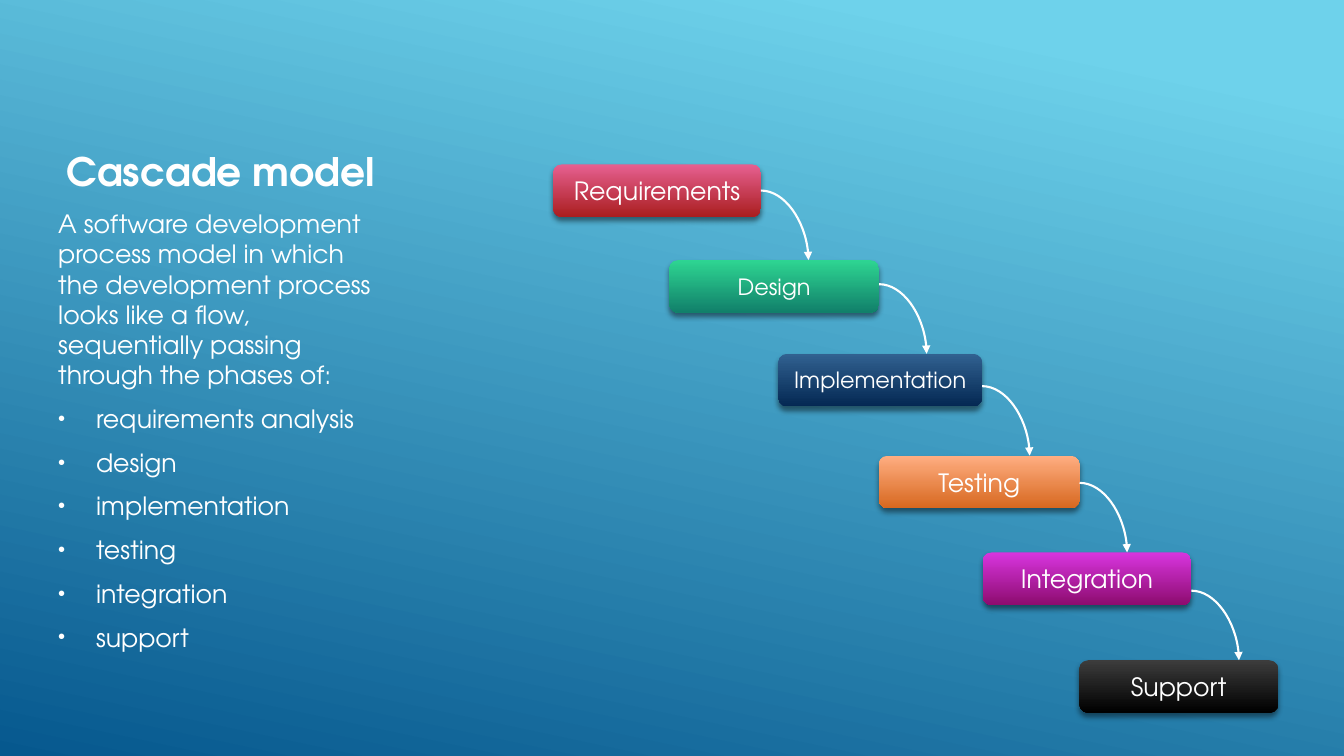
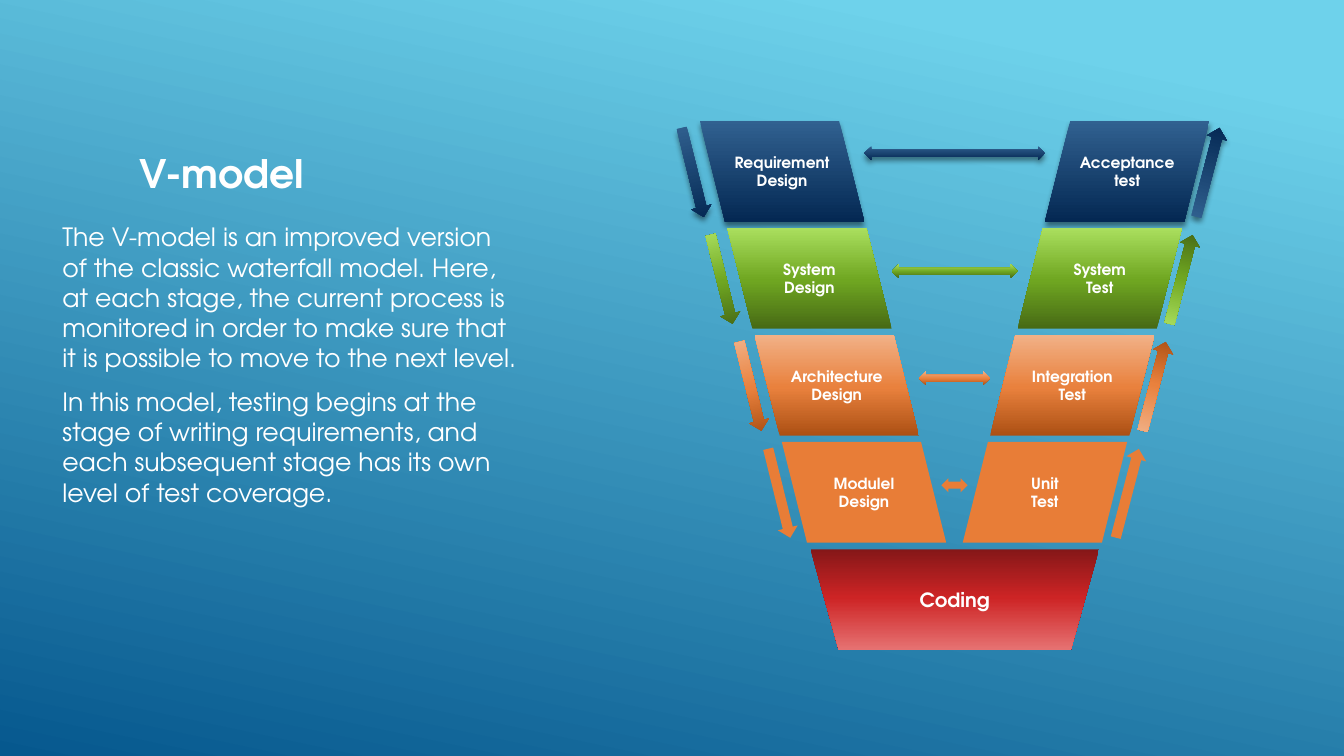
from copy import deepcopy
from itertools import pairwise

from pptx import Presentation
from pptx.dml.color import RGBColor
from pptx.enum.shapes import MSO_CONNECTOR, MSO_SHAPE
from pptx.enum.text import MSO_ANCHOR, PP_ALIGN
from pptx.oxml import parse_xml
from pptx.oxml.ns import nsdecls, qn
from pptx.util import Pt

CURVE = MSO_CONNECTOR.CURVE
ROUND = MSO_SHAPE.ROUNDED_RECTANGLE
SLANT = MSO_SHAPE.PARALLELOGRAM
TRAP = MSO_SHAPE.TRAPEZOID
DOWN = MSO_SHAPE.DOWN_ARROW
BOTH = MSO_SHAPE.LEFT_RIGHT_ARROW
LEFT, MID = PP_ALIGN.LEFT, PP_ALIGN.CENTER
TOP, CENTER, BASE = MSO_ANCHOR.TOP, MSO_ANCHOR.MIDDLE, MSO_ANCHOR.BOTTOM

FACE = "TeX Gyre Adventor"
WHITE = RGBColor(0xFF, 0xFF, 0xFF)
AMBER = RGBColor(0xE8, 0x7D, 0x37)


def blend(angle, *stops):
    """Return a gradient: its clockwise angle and (place, colour) stops."""
    return angle, [(place, RGBColor.from_string(hue)) for place, hue in stops]


SKY = blend(102, (0.1, "6ED2EB"), (1, "06588E"))
PINK = blend(90, (0, "E66091"), (1, "AA1E1F"))
MINT = blend(90, (0, "2ED592"), (1, "11806A"))
NAVY = blend(90, (0, "316190"), (1, "042853"))
PEACH = blend(90, (0, "FFAE82"), (1, "D7681F"))
PLUM = blend(90, (0, "D835DF"), (1, "8D0C6F"))
BLACK = blend(90, (0, "3C3C3C"), (1, "000000"))
GREEN = blend(270, (0, "476A15"), (0.48, "6FA621"), (1, "AADF5E"))
RUST = blend(270, (0, "AC5014"), (0.48, "E9813D"), (1, "F1B187"))
RED = blend(270, (0, "851718"), (0.48, "CD2425"), (1, "E67272"))

SHADOW = (f'<a:outerShdw {nsdecls("a")} blurRad="{Pt(4)}" dist="{Pt(3)}" '
          'dir="5400000" algn="ctr" rotWithShape="0"><a:srgbClr val="000000">'
          '<a:alpha val="46000"/></a:srgbClr></a:outerShdw>')
BULLET = ('<a:buClr {0}><a:srgbClr val="FFFFFF"/></a:buClr>',
          '<a:buSzPct {0} val="80000"/>',
          '<a:buFont {0} typeface="Arial"/>',
          '<a:buChar {0} char="&#8226;"/>')


def put(item, **style):
    """Set each attribute of an object from its format values."""
    for name, value in style.items():
        setattr(item, name, value)


def paint(fill, node, look):
    """Fill with a plain colour or with a gradient held in the node."""
    if isinstance(look, RGBColor):
        fill.solid()
        fill.fore_color.rgb = look
        return
    angle, stops = look
    fill.gradient()
    fill.gradient_angle = 360 - angle
    rows = node.find(".//" + qn("a:gsLst"))
    while len(rows) < len(stops):
        rows.append(deepcopy(rows[0]))
    for stop, (place, hue) in zip(fill.gradient_stops, stops):
        stop.position = place
        stop.color.rgb = hue


class Deck:
    """Holds the shared style and the current slide."""

    def __init__(self):
        """Start a wide deck with the shared background."""
        self.file = Presentation()
        put(self.file, slide_width=Pt(960), slide_height=Pt(540))
        master = self.file.slide_master
        paint(master.background.fill, master.element, SKY)

    def page(self, text, *box):
        """Add a slide and place its title."""
        layout = self.file.slide_layouts[5]
        self.slide = self.file.slides.add_slide(layout)
        title = self.slide.shapes.title
        left, top, width, height = map(Pt, box)
        put(title, left=left, top=top, width=width, height=height)
        self.words(title.text_frame, text, 28, anchor=BASE, bold=True)

    def words(self, frame, text, size, anchor=CENTER, align=MID, bold=False):
        """Put styled text into a frame."""
        put(frame, text=text, word_wrap=True, vertical_anchor=anchor)
        for para in frame.paragraphs:
            para.alignment = align
            for run in para.runs:
                put(run.font, name=FACE, size=Pt(size), bold=bold)
                run.font.color.rgb = WHITE

    def label(self, text, size, *box, **style):
        """Add a text box and return its frame."""
        frame = self.slide.shapes.add_textbox(*map(Pt, box)).text_frame
        self.words(frame, text, size, anchor=TOP, **style)
        return frame

    def body(self, lines, *box, points=()):
        """Add running text, followed by bullet points."""
        text = "\n".join([*lines, *points])
        frame = self.label(text, 18, *box, align=LEFT)
        for para in frame.paragraphs:
            put(para, space_before=Pt(3.6), space_after=Pt(6))
        for para in frame.paragraphs[len(lines):]:
            props = para._p.get_or_add_pPr()
            props.set("marL", str(Pt(27)))
            props.set("indent", str(-Pt(27)))
            for part in BULLET:
                props.append(parse_xml(part.format(nsdecls("a"))))

    def shape(self, kind, look, *box, text="", size=11, bold=True,
              turn=0, flip=None, shade=False):
        """Add a filled shape without an outline."""
        item = self.slide.shapes.add_shape(kind, *map(Pt, box))
        props = item._element.spPr
        paint(item.fill, props, look)
        item.line.fill.background()
        put(item, rotation=turn)
        item.shadow.inherit = False
        if shade:
            props.find(qn("a:effectLst")).append(parse_xml(SHADOW))
        if flip:
            props.find(qn("a:xfrm")).set(flip, "1")
        if text:
            self.words(item.text_frame, text, size, bold=bold)
        return item

    def curve(self, *ends):
        """Add a curved arrow that leaves sideways and lands from above."""
        link = self.slide.shapes.add_connector(CURVE, *map(Pt, ends))
        link.line.width = Pt(1.5)
        link.line.color.rgb = WHITE
        props = link._element.spPr
        props.find(qn("a:prstGeom")).set("prst", "curvedConnector2")
        props.find(qn("a:ln")).append(
            parse_xml(f'<a:tailEnd {nsdecls("a")} type="triangle"/>'))
        props.append(parse_xml(f'<a:effectLst {nsdecls("a")}/>'))


def cascade(deck):
    """Build the slide with the falling steps."""
    deck.page("Cascade model", 36, 85, 243.4, 57.6)
    deck.body(["A software development process model in which the development "
               "process looks like a flow, sequentially passing through the "
               "phases of:"], 34.5, 145.4, 243.4, 356,
              points=["requirements analysis", "design", "implementation",
                      "testing", "integration", "support"])
    steps = [("Requirements", 18, PINK, 395.2, 117.4, 148.3),
             ("Design", 16, MINT, 478.1, 185.8, 149.8),
             ("Implementation", 16, NAVY, 556, 252.7, 145.5),
             ("Testing", 18, PEACH, 627.8, 325.5, 143.3),
             ("Integration", 18, PLUM, 702, 394.6, 149),
             ("Support", 18, BLACK, 771, 471.6, 142)]
    for text, size, look, left, top, width in steps:
        deck.shape(ROUND, look, left, top, width, 37.5, text=text, size=size,
                   bold=False, shade=True)
    for (*_, left, _, width), (*_, land, _) in pairwise(steps):
        edge = left + width
        deck.curve(edge, land - 49.7, edge + 34, land)


def vee(deck):
    """Build the slide with the V of stages."""
    deck.page("V-model", 51.8, 86.4, 213.1, 57.6)
    deck.body(["The V-model is an improved version of the classic waterfall "
               "model. Here, at each stage, the current process is monitored "
               "in order to make sure that it is possible to move to the next "
               "level.",
               "In this model, testing begins at the stage of writing "
               "requirements, and each subsequent stage has its own level of "
               "test coverage."], 37.5, 154.8, 340.6, 340.6)
    rows = [("Requirement Design", "Acceptance test", NAVY, 18),
            ("System Design", "System\nTest", GREEN, 26),
            ("Architecture Design", "Integration Test", RUST, 26),
            ("Modulel Design", "Unit\nTest", AMBER, 26)]
    wide, high = 117.4, 72
    for i, (plan, test, look, drop) in enumerate(rows):
        top = 86.4 + 76.4 * i
        left, right = 500 + 19.5 * i, 746.5 - 19.6 * i
        shade = look is NAVY
        deck.shape(SLANT, look, left, top, wide, high, text=plan,
                   flip="flipH", shade=shade)
        deck.shape(SLANT, look, right, top, wide, high, text=test, shade=shade)
        for x, turn in (487.5 + 20.6 * i, 346.1), (855.5 - 19.2 * i, 194.6):
            deck.shape(DOWN, look, x, top + 4, 14.6, 65.5, turn=turn,
                       shade=shade)
        span = max(right - left - wide, 18.7)
        start = (left + wide + right - span) / 2
        deck.shape(BOTH, look, start, top + drop, span, 10, shade=shade)
    code = deck.shape(TRAP, RED, 579, 392.4, 206, high, flip="flipV")
    code.adjustments[0] = 0.28
    deck.label("Coding", 14, 627, 416.2, 110, 24.5, bold=True)


deck = Deck()
cascade(deck)
vee(deck)
deck.file.save("out.pptx")
